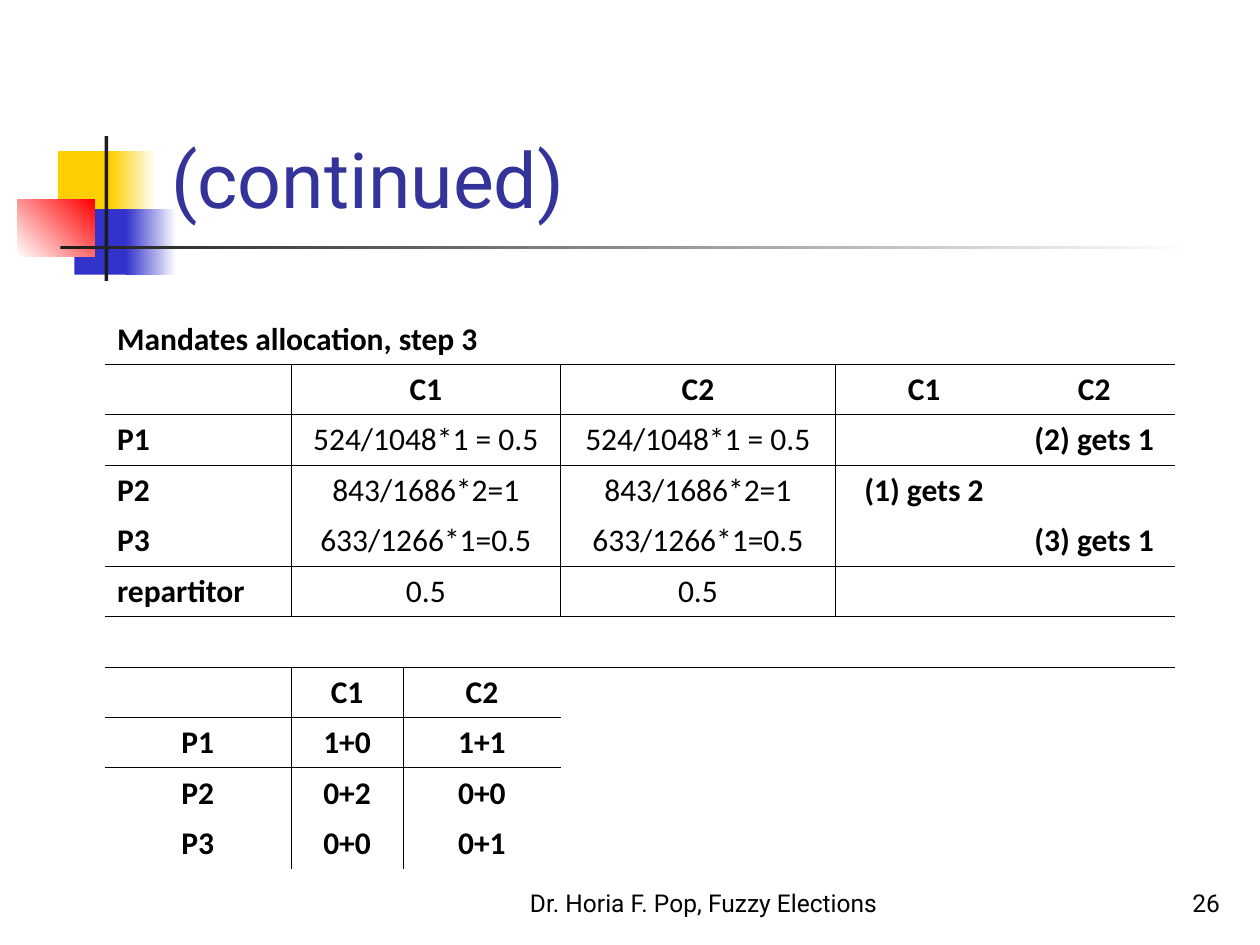
import pptx
import pptx.dml.color
import pptx.enum.shapes
import pptx.enum.text
import pptx.oxml
import pptx.oxml.ns
import pptx.util
from dataclasses import dataclass

Inches = pptx.util.Inches
Align = pptx.enum.text.PP_ALIGN
Anchor = pptx.enum.text.MSO_ANCHOR


@dataclass(frozen=True)
class Theme:
    title: str = "333399"
    text: str = "000000"
    yellow: str = "FFCF01"
    blue: str = "3333CC"
    red: str = "FF0000"
    dark: str = "1C1C1C"
    white: str = "FFFFFF"
    heading_font: str = "Roboto"
    table_font: str = "Calibri"
    title_size: int = 44
    table_size: int = 18
    footer_size: int = 14
    border_width: float = 0.45


theme = Theme()


def write(frame, text, align, font_name, size, color, bold=False):
    """Put one formatted run, anchored at the bottom, into a text frame or cell."""
    frame.vertical_anchor = Anchor.BOTTOM
    paragraph = getattr(frame, "text_frame", frame).paragraphs[0]
    paragraph.alignment = align
    run = paragraph.add_run()
    run.text = text
    run.font.name = font_name
    run.font.size = pptx.util.Pt(size)
    run.font.bold = bold
    run.font.color.rgb = pptx.dml.color.RGBColor.from_string(color)


def add_border(cell, side):
    width = pptx.util.Pt(theme.border_width)
    cell._tc.get_or_add_tcPr().append(pptx.oxml.parse_xml(
        f'<a:ln{side} {pptx.oxml.ns.nsdecls("a")} w="{width}"><a:solidFill>'
        f'<a:srgbClr val="{theme.text}"/></a:solidFill></a:ln{side}>'))


presentation = pptx.Presentation()
presentation.slide_width = Inches(10)
presentation.slide_height = Inches(7.5)
slide = presentation.slides.add_slide(presentation.slide_layouts[5])

# Corner ornament: left, top, width, height, colours, gradient angle
ornament = [
    (0.46, 1.2, 0.48, 0.52, [theme.yellow], 0),
    (0.88, 1.2, 0.36, 0.52, [theme.yellow, theme.white], 0),
    (0.59, 1.66, 0.46, 0.52, [theme.blue], 0),
    (1, 1.66, 0.4, 0.52, [theme.blue, theme.white], 0),
    (0.14, 1.58, 0.61, 0.46, [theme.white, theme.red], 45),
    (0.83, 1.08, 0.03, 1.15, [theme.dark], 0),
    (0.48, 1.95, 9, 0.03, [theme.dark, theme.white], 0),
]
for left, top, width, height, colors, angle in ornament:
    shape = slide.shapes.add_shape(
        pptx.enum.shapes.MSO_SHAPE.RECTANGLE,
        Inches(left), Inches(top), Inches(width), Inches(height))
    shape.shadow.inherit = False
    shape.line.fill.background()
    rgb_colors = [pptx.dml.color.RGBColor.from_string(color) for color in colors]
    if len(rgb_colors) == 1:
        shape.fill.solid()
        shape.fill.fore_color.rgb = rgb_colors[0]
    else:
        shape.fill.gradient()
        shape.fill.gradient_angle = angle
        for stop, color, position in zip(shape.fill.gradient_stops, rgb_colors, (0, 1)):
            stop.color.rgb = color
            stop.position = position

# Footer and page number
footers = [
    (4, 3.17, "Dr. Horia F. Pop, Fuzzy Elections", Align.CENTER),
    (7.7, 2.08, "26", Align.RIGHT),
]
for left, width, text, align in footers:
    box = slide.shapes.add_textbox(Inches(left), Inches(6.83), Inches(width), Inches(0.5))
    box.text_frame.word_wrap = True
    write(box.text_frame, text, align, theme.heading_font, theme.footer_size, theme.text)

# Title
title = slide.shapes.title
title.left, title.top = Inches(1.26), Inches(0.23)
title.width, title.height = Inches(8.52), Inches(1.6)
title.text_frame.auto_size = pptx.enum.text.MSO_AUTO_SIZE.NONE
write(title.text_frame, "(continued)", Align.LEFT,
      theme.heading_font, theme.title_size, theme.title)

# Allocation table; None continues a merged cell
rows = [
    ["Mandates allocation, step 3", None, None, None, "", "", ""],
    ["", "C1", None, "C2", None, "C1", "C2"],
    ["P1", "524/1048*1 = 0.5", None, "524/1048*1 = 0.5", None, "", "(2) gets 1"],
    ["P2", "843/1686*2=1", None, "843/1686*2=1", None, "(1) gets 2", ""],
    ["P3", "633/1266*1=0.5", None, "633/1266*1=0.5", None, "", "(3) gets 1"],
    ["repartitor", "0.5", None, "0.5", None, "", ""],
    ["", "", "", "", "", "", ""],
    ["", "C1", "C2", "", "", "", ""],
    ["P1", "1+0", "1+1", "", "", "", ""],
    ["P2", "0+2", "0+0", "", "", "", ""],
    ["P3", "0+0", "0+1", "", "", "", ""],
]
column_widths = [1.48, 0.89, 1.25, 1.09, 1.09, 1.41, 1.29]
row_height = 0.4
step_rows = range(1, 6)
total_rows = range(7, 11)

# Ruled edges, named by the cell above or to the left of the line
ruled_below = {(row, column) for row in (0, 1, 4, 5) for column in range(7)}
ruled_below |= {(7, column) for column in range(3)}
ruled_right = {(row, 0) for row in (*step_rows, *total_rows)}
ruled_right |= {(row, 4) for row in step_rows}

table = slide.shapes.add_table(
    len(rows), len(column_widths), Inches(0.83), Inches(2.49),
    Inches(sum(column_widths)), Inches(row_height * len(rows))).table
table.first_row = table.horz_banding = False
no_style_no_grid = "{2D5ABB26-0587-4C30-8999-92F81FD0307C}"
table._tbl.tblPr.find(pptx.oxml.ns.qn("a:tableStyleId")).text = no_style_no_grid
for column, width in zip(table.columns, column_widths):
    column.width = Inches(width)
for row in table.rows:
    row.height = Inches(row_height)

for row, texts in enumerate(rows):
    for column, text in enumerate(texts):
        cell = table.cell(row, column)
        edges = [
            ("L", (row, column - 1) in ruled_right),
            ("R", (row, column) in ruled_right),
            ("T", (row - 1, column) in ruled_below),
            ("B", (row, column) in ruled_below),
        ]
        for side, ruled in edges:
            if ruled:
                add_border(cell, side)
        cell.fill.background()
        if text is None:
            continue
        last = column
        while last + 1 < len(texts) and texts[last + 1] is None:
            last += 1
        if last > column:
            cell.merge(table.cell(row, last))
        if text:
            is_label = column == 0 and row not in total_rows
            is_quotient = row in step_rows[1:] and column in (1, 3)
            write(cell, text, Align.LEFT if is_label else Align.CENTER,
                  theme.table_font, theme.table_size, theme.text, bold=not is_quotient)

presentation.save("out.pptx")
